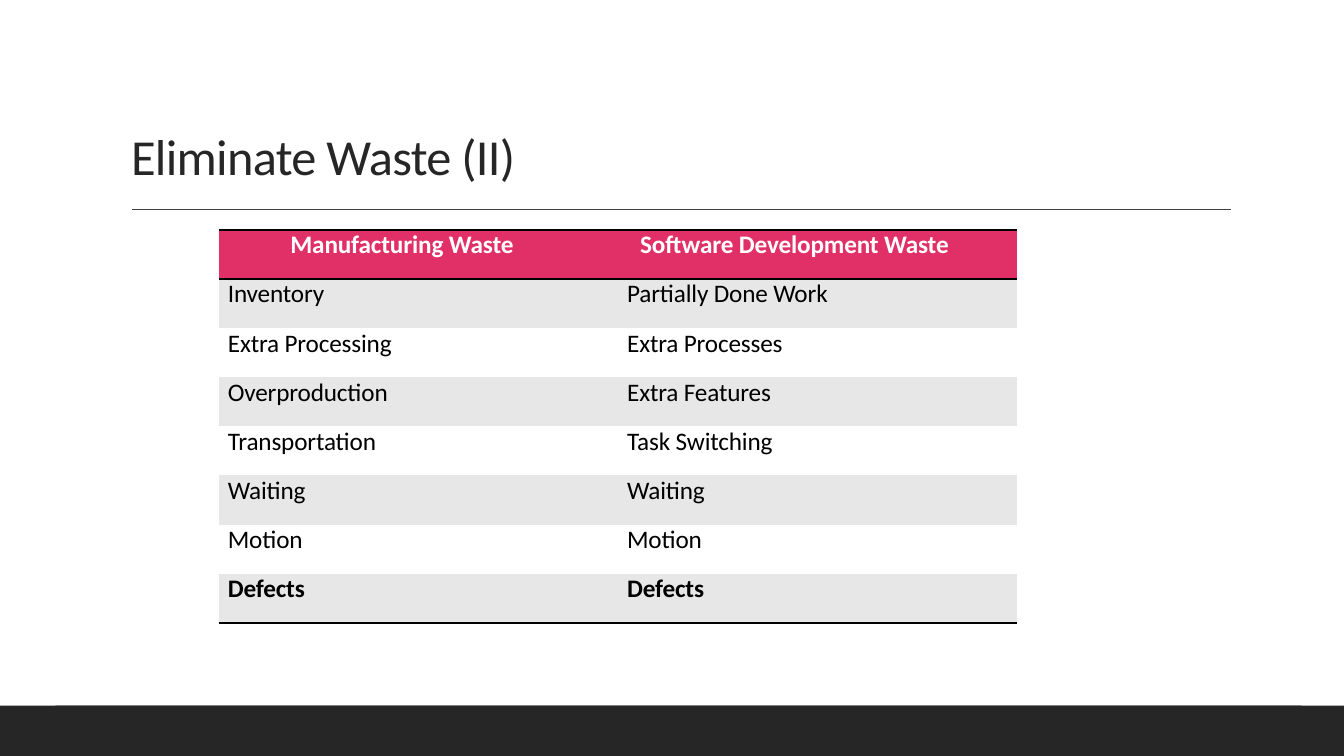
import pptx
import pptx.dml.color
import pptx.enum.shapes
import pptx.enum.text
import pptx.oxml
import pptx.oxml.ns
import pptx.util
from pptx.util import Inches

ROWS = [
    ("Manufacturing Waste", "Software Development Waste"),
    ("Inventory", "Partially Done Work"),
    ("Extra Processing", "Extra Processes"),
    ("Overproduction", "Extra Features"),
    ("Transportation", "Task Switching"),
    ("Waiting", "Waiting"),
    ("Motion", "Motion"),
    ("Defects", "Defects"),
]
HEADER_INDENTS = (0.71, 0.22)
BODY_INDENT = 0.09
FOOTER_BARS = [(0, 7, 13.33, 0.5), (0.55, 7, 12.36, 0.5), (0.67, 7.05, 12.43, 0.4)]
NO_GRID_STYLE = "{2D5ABB26-0587-4C30-8999-92F81FD0307C}"


def color(value):
    return pptx.dml.color.RGBColor.from_string(value)


class SlideBuilder:
    """Hold the style and the current slide, and add its elements."""

    font = "Calibri"
    dark = "262626"
    rule = "404040"
    accent = "E12F68"
    band = "E7E7E7"
    white = "FFFFFF"
    black = "000000"

    def __init__(self, presentation):
        self.slide = presentation.slides.add_slide(presentation.slide_layouts[5])
        self.slide.background.fill.solid()
        self.slide.background.fill.fore_color.rgb = color(self.white)

    def run(self, paragraph, text, size, ink, bold=False, spacing=0):
        run = paragraph.add_run()
        run.text = text
        run.font.name = self.font
        run.font.size = pptx.util.Pt(size)
        run.font.bold = bold
        run.font.color.rgb = color(ink)
        run.font._element.set("spc", str(round(spacing * 100)))

    def bar(self, left, top, width, height):
        shape = self.slide.shapes.add_shape(
            pptx.enum.shapes.MSO_SHAPE.RECTANGLE,
            Inches(left), Inches(top), Inches(width), Inches(height))
        shape.shadow.inherit = False
        shape.fill.solid()
        shape.fill.fore_color.rgb = color(self.dark)
        shape.line.fill.background()

    def line(self, left, right, top):
        connector = self.slide.shapes.add_connector(
            pptx.enum.shapes.MSO_CONNECTOR.STRAIGHT,
            Inches(left), Inches(top), Inches(right), Inches(top))
        connector.line.color.rgb = color(self.rule)
        connector.line.width = pptx.util.Pt(1)
        properties = connector._element.spPr
        properties.append(pptx.oxml.parse_xml(
            f'<a:effectLst {pptx.oxml.ns.nsdecls("a")}/>'))

    def title(self, text, left, top, width, height):
        shape = self.slide.shapes.title
        shape.left, shape.top = Inches(left), Inches(top)
        shape.width, shape.height = Inches(width), Inches(height)
        frame = shape.text_frame
        frame.word_wrap = True
        frame.auto_size = pptx.enum.text.MSO_AUTO_SIZE.NONE
        frame.vertical_anchor = pptx.enum.text.MSO_ANCHOR.BOTTOM
        paragraph = frame.paragraphs[0]
        paragraph.alignment = pptx.enum.text.PP_ALIGN.LEFT
        paragraph.line_spacing = 0.9
        self.run(paragraph, text, 36, self.dark, spacing=-0.5)

    def border(self, cell, side):
        cell._tc.get_or_add_tcPr().append(pptx.oxml.parse_xml(
            f'<a:ln{side} {pptx.oxml.ns.nsdecls("a")} w="{pptx.util.Pt(2)}">'
            f'<a:solidFill><a:srgbClr val="{self.black}"/></a:solidFill></a:ln{side}>'))

    def cell(self, cell, text, indent, fill, ink, bold, sides):
        for side in sides:
            self.border(cell, side)
        cell.fill.solid()
        cell.fill.fore_color.rgb = color(fill)
        cell.margin_left = Inches(indent)
        cell.margin_right = cell.margin_top = cell.margin_bottom = 0
        paragraph = cell.text_frame.paragraphs[0]
        paragraph.space_before = pptx.util.Pt(4.7)
        self.run(paragraph, text, 18, ink, bold, -0.1)

    def table(self, rows, left, top, width, height):
        table = self.slide.shapes.add_table(
            len(rows), len(rows[0]),
            Inches(left), Inches(top), Inches(width), Inches(height)).table
        table.horz_banding = False
        style = table._tbl.tblPr.find(pptx.oxml.ns.qn("a:tableStyleId"))
        style.text = NO_GRID_STYLE
        last = len(rows) - 1
        for row, texts in enumerate(rows):
            header = row == 0
            fill = self.accent if header else self.band if row % 2 else self.white
            ink = self.white if header else self.black
            sides = "TB" if header else "B" if row == last else ""
            for column, text in enumerate(texts):
                indent = HEADER_INDENTS[column] if header else BODY_INDENT
                self.cell(table.cell(row, column), text, indent, fill, ink,
                          row in (0, last), sides)


def main():
    presentation = pptx.Presentation()
    presentation.slide_width = Inches(13.33)
    presentation.slide_height = Inches(7.5)
    builder = SlideBuilder(presentation)
    for bar in FOOTER_BARS:
        builder.bar(*bar)
    builder.line(1.31, 12.21, 2.08)
    builder.title("Eliminate Waste (II)", 1.2, 0.31, 11, 1.59)
    builder.table(ROWS, 2.17, 2.28, 7.92, 3.9)
    presentation.save("out.pptx")


if __name__ == "__main__":
    main()
